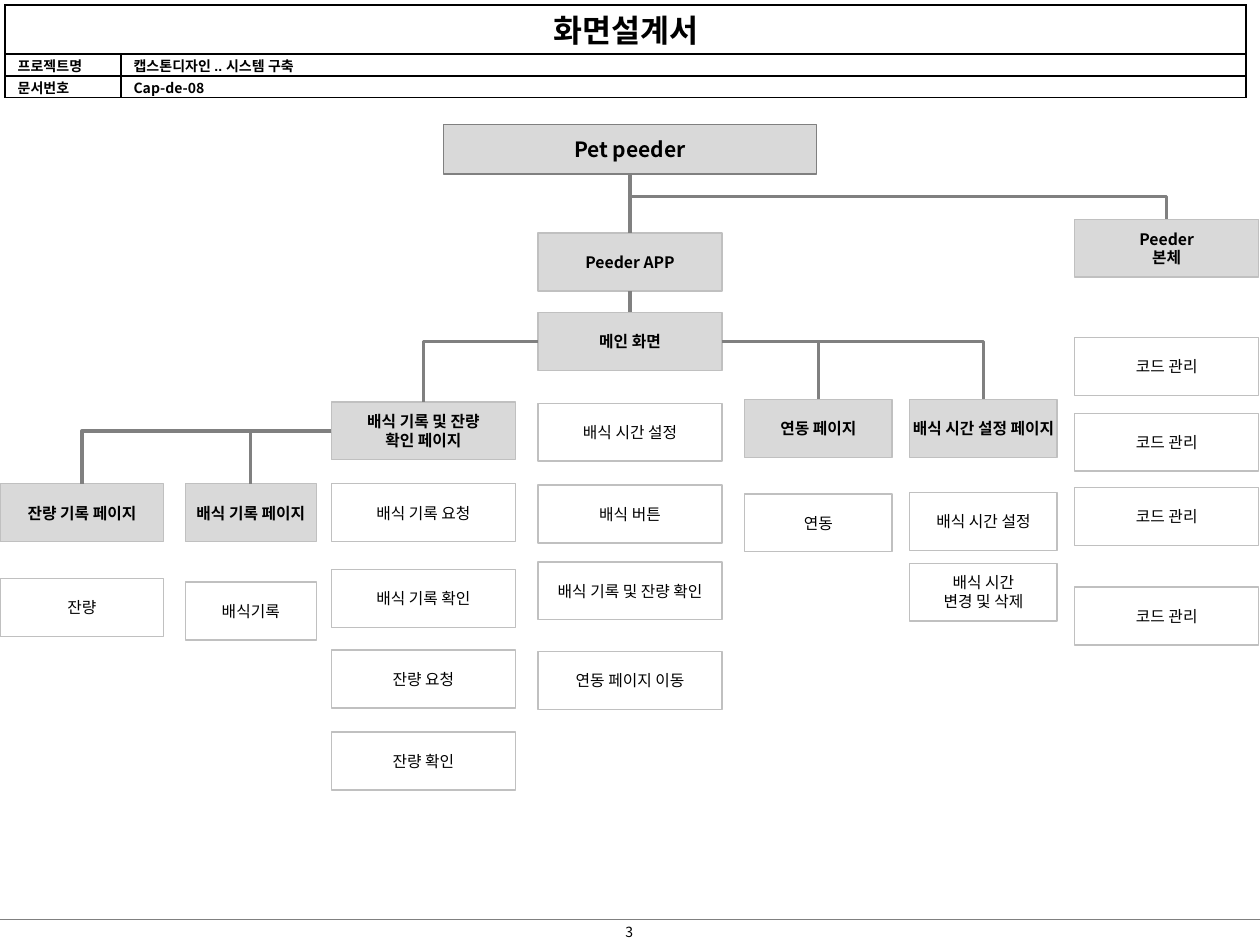
import dataclasses
import typing

import lxml.etree
import pptx
import pptx.dml.color
import pptx.enum.shapes
import pptx.enum.text
import pptx.oxml
import pptx.oxml.ns
import pptx.util

Pt = pptx.util.Pt
Kind = pptx.enum.shapes.MSO_CONNECTOR
Align = pptx.enum.text.PP_ALIGN
qn = pptx.oxml.ns.qn
TOP, LEFT, BOTTOM, RIGHT = range(4)


@dataclasses.dataclass(frozen=True)
class Theme:
    font: str = "Noto Sans CJK KR"
    label: str = "Arial"
    ink: str = "000000"
    paper: str = "FFFFFF"
    head: str = "D9D9D9"
    edge: str = "C0C0C0"
    line: str = "808080"
    title: float = 18
    root: float = 12
    body: float = 9
    small: float = 8
    thin: float = 0.75
    thick: float = 2


class Box(typing.NamedTuple):
    row: float
    text: str
    head: bool = False


class Stack(typing.NamedTuple):
    col: float
    wide: float
    boxes: list[Box]


class Link(typing.NamedTuple):
    start: str
    site: int
    end: str


# The slide is a grid of 100 columns and 75 rows
theme = Theme()
deck = pptx.Presentation()
deck.slide_width = pptx.util.Inches(10)
deck.slide_height = pptx.util.Inches(7.5)
slide = deck.slides.add_slide(deck.slide_layouts[6])
TALL = 4.6


def col(n: float) -> int:
    return round(deck.slide_width * n / 100)


def row(n: float) -> int:
    return round(deck.slide_height * n / 75)


def color(code: str) -> pptx.dml.color.RGBColor:
    return pptx.dml.color.RGBColor.from_string(code)


def write(frame, text: str, size: float, bold: bool = False,
          align=Align.CENTER, font: str = theme.font) -> None:
    for i, part in enumerate(text.split("\n")):
        para = frame.paragraphs[0] if i == 0 else frame.add_paragraph()
        para.alignment = align
        run = para.add_run()
        run.text = part
        run.font.size = Pt(size)
        run.font.bold = bold
        run.font.name = font
        run.font.color.rgb = color(theme.ink)
        east = lxml.etree.SubElement(run.font._element, qn("a:ea"))
        east.set("typeface", theme.font)


def pad(item, side: int = 0, top: int = 0) -> None:
    item.margin_left = item.margin_right = side
    item.margin_top, item.margin_bottom = top, 0


def draw(left: float, top: float, wide: float, tall: float, text: str,
         head: bool, size: float = theme.body, edge: str = theme.edge):
    shape = slide.shapes.add_shape(
        pptx.enum.shapes.MSO_SHAPE.RECTANGLE, col(left), row(top), col(wide), row(tall))
    shape.shadow.inherit = False
    shape.fill.solid()
    shape.fill.fore_color.rgb = color(theme.head if head else theme.paper)
    shape.line.color.rgb = color(edge)
    shape.line.width = Pt(theme.thin)
    frame = shape.text_frame
    frame.word_wrap = False
    frame.vertical_anchor = pptx.enum.text.MSO_ANCHOR.MIDDLE
    pad(frame)
    write(frame, text, size, head)
    return shape


def rule(kind, weight: float, ends=(0, 0, 0, 0)):
    wire = slide.shapes.add_connector(kind, *ends)
    wire.line.color.rgb = color(theme.line)
    wire.line.width = Pt(weight)
    lxml.etree.SubElement(wire._element.spPr, qn("a:effectLst"))
    return wire


def join(start, site: int, end):
    same = abs(start.left + start.width / 2 - end.left - end.width / 2) < col(0.1)
    wire = rule(Kind.STRAIGHT if same else Kind.ELBOW, theme.thick)
    wire.begin_connect(start, site)
    wire.end_connect(end, TOP)
    if same:
        return
    if site != BOTTOM:
        # One corner: sideways, then down
        wire._element.spPr.find(qn("a:prstGeom")).set("prst", "bentConnector2")
        return
    # Two corners: down, across, down, as a quarter turn of the preset
    x, y, wide, tall = wire.left, wire.top, wire.width, wire.height
    wire.left, wire.top = x + (wide - tall) // 2, y + (tall - wide) // 2
    wire.width, wire.height = tall, wide
    frame = wire._element.spPr.find(qn("a:xfrm"))
    frame.set("rot", "16200000")
    frame.set("flipH", "1")


def border(cell) -> None:
    props = cell._tc.get_or_add_tcPr()
    for i, side in enumerate(("lnL", "lnR", "lnT", "lnB")):
        props.insert(i, pptx.oxml.parse_xml(
            f'<a:{side} xmlns:a="http://schemas.openxmlformats.org/drawingml/2006/main" '
            f'w="{Pt(1)}"><a:solidFill><a:srgbClr val="{theme.ink}"/></a:solidFill></a:{side}>'))


# Document header
facts = [("프로젝트명", "캡스톤디자인 .. 시스템 구축", theme.label),
         ("문서번호", "Cap-de-08", theme.font)]
table = slide.shapes.add_table(3, 2, col(0.4), row(0.4), col(98.5), row(7.3)).table
for i, wide in enumerate((9.2, 89.3)):
    table.columns[i].width = col(wide)
for i, tall in enumerate((3.9, 1.7, 1.7)):
    table.rows[i].height = row(tall)
table.cell(0, 0).merge(table.cell(0, 1))
for cell in table.iter_cells():
    pad(cell, col(1), row(0.1))
    cell.fill.solid()
    cell.fill.fore_color.rgb = color(theme.paper)
    border(cell)
write(table.cell(0, 0).text_frame, "화면설계서", theme.title, True)
for i, (name, value, font) in enumerate(facts, 1):
    write(table.cell(i, 0).text_frame, name, theme.small, True, Align.LEFT, theme.label)
    write(table.cell(i, 1).text_frame, value, theme.small, True, Align.LEFT, font)

# Page footer
rule(Kind.STRAIGHT, theme.thin, (0, row(73), col(100), row(73)))
note = slide.shapes.add_textbox(col(47.2), row(72.8), col(5.5), row(2.4)).text_frame
note.word_wrap = True
pad(note, col(1), row(0.5))
write(note, "3", theme.small)

# Screen tree: each column of boxes from top to bottom
stacks = [
    Stack(0, 13, [Box(38.4, "잔량 기록 페이지", True), Box(45.9, "잔량")]),
    Stack(14.7, 10.4, [Box(38.4, "배식 기록 페이지", True), Box(46.2, "배식기록")]),
    Stack(26.3, 14.6, [Box(31.9, "배식 기록 및 잔량\n확인 페이지", True),
                       Box(38.4, "배식 기록 요청"), Box(45.2, "배식 기록 확인"),
                       Box(51.6, "잔량 요청"), Box(58.1, "잔량 확인")]),
    Stack(42.7, 14.6, [Box(18.5, "Peeder APP", True), Box(24.8, "메인 화면", True),
                       Box(32, "배식 시간 설정"), Box(38.5, "배식 버튼"),
                       Box(44.6, "배식 기록 및 잔량 확인"), Box(51.7, "연동 페이지 이동")]),
    Stack(59.1, 11.7, [Box(31.7, "연동 페이지", True), Box(39.2, "연동")]),
    Stack(72.2, 11.7, [Box(31.7, "배식 시간 설정 페이지", True),
                       Box(39.1, "배식 시간 설정"), Box(44.7, "배식 시간\n변경 및 삭제")]),
    Stack(85.3, 14.6, [Box(17.4, "Peeder\n본체", True)]
          + [Box(top, "코드 관리") for top in (26.8, 32.8, 38.7, 46.6)]),
]
root = "Pet peeder"
heads = {root: draw(35.2, 9.9, 29.6, 3.9, root, True, theme.root, theme.line)}
for stack in stacks:
    for box in stack.boxes:
        shape = draw(stack.col, box.row, stack.wide, TALL, box.text, box.head)
        if box.head:
            heads[box.text] = shape

# Links between the head boxes
main, log = "메인 화면", "배식 기록 및 잔량\n확인 페이지"
links = [
    Link(root, BOTTOM, "Peeder\n본체"), Link(root, BOTTOM, "Peeder APP"),
    Link("Peeder APP", BOTTOM, main), Link(main, LEFT, log),
    Link(main, RIGHT, "연동 페이지"), Link(main, RIGHT, "배식 시간 설정 페이지"),
    Link(log, LEFT, "배식 기록 페이지"), Link(log, LEFT, "잔량 기록 페이지"),
]
for link in links:
    join(heads[link.start], link.site, heads[link.end])

deck.save("out.pptx")
